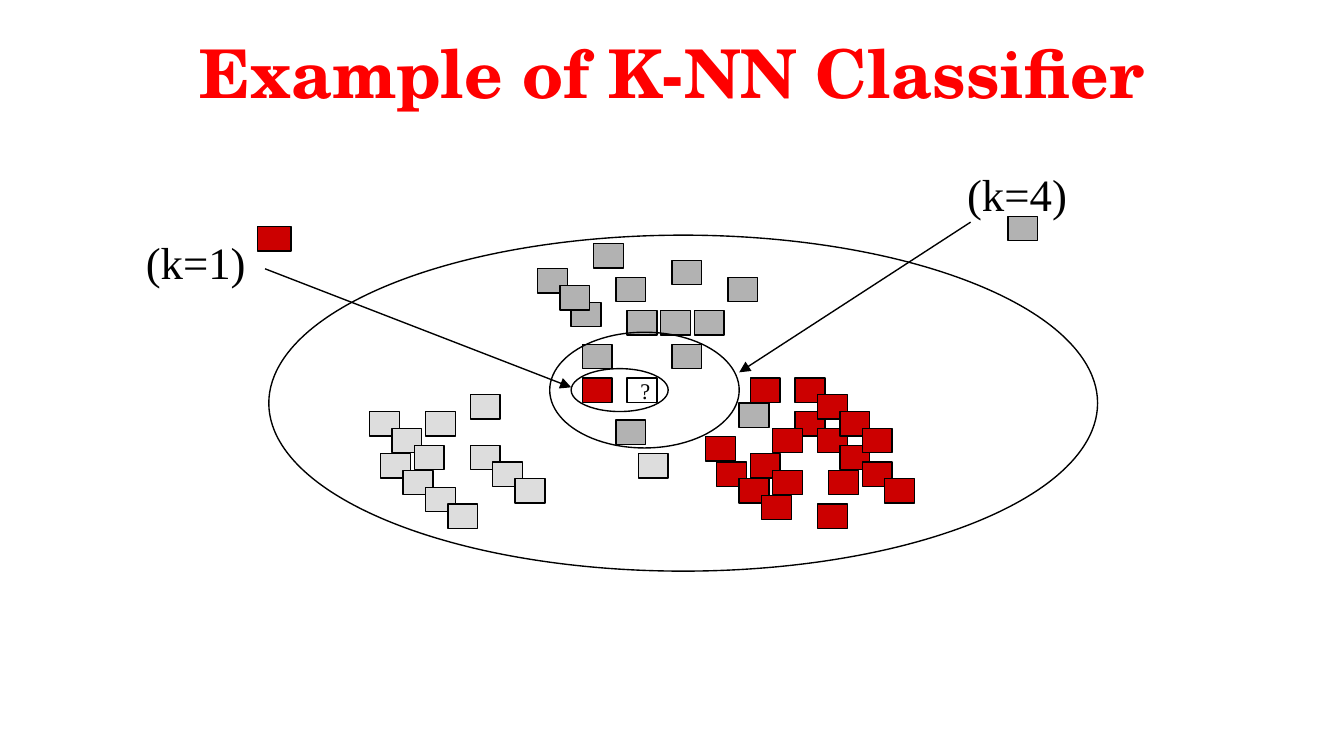
from pptx import Presentation
from pptx.dml.color import RGBColor
from pptx.enum.shapes import MSO_CONNECTOR as Connector, MSO_SHAPE as Shape
from pptx.enum.text import MSO_ANCHOR as Anchor, PP_ALIGN as Align
from pptx.oxml.ns import qn
from pptx.util import Pt
from lxml.etree import SubElement

COLORS = {
    "title": "FF0000",
    "ink": "000000",
    "light": "DDDDDD",
    "gray": "B2B2B2",
    "red": "CC0000",
}
TITLE_FORMAT = {"name": "TeX Gyre Schola", "size": Pt(36), "bold": True}
LABEL_FORMAT = {"name": "Times New Roman", "size": Pt(24)}
QUERY_FORMAT = {"name": "Times New Roman", "size": Pt(12)}

COLUMN, ROW = 6, 4.5
SAMPLE_SIZE = (16, 13)
QUERY_CELL = (32, 17)
SAMPLES = {
    "light": [(9, 21), (10, 26), (18, 25), (14, 21), (11, 23), (12, 28), (20, 27),
              (18, 19), (13, 25), (14, 30), (22, 29), (33, 26), (16, 32)],
    "gray": [(38, 9), (24, 4), (29, 1), (27, 8), (26, 6), (36, 3), (28, 13),
             (41, 5), (35, 9), (31, 5), (32, 9), (31, 22), (36, 13), (42, 20)],
    "red": [(43, 17), (39, 24), (47, 21), (47, 17), (40, 27), (28, 17), (45, 23),
            (49, 23), (49, 19), (42, 29), (51, 25), (43, 26), (50, 28), (51, 21),
            (44, 31), (45, 28), (53, 27), (53, 23), (49, 32), (55, 29)],
}


def rgb(color):
    return RGBColor.from_string(COLORS[color])


def write_text(shape, text, font_format, color="ink", align=Align.LEFT,
               anchor=Anchor.TOP, wrap=False):
    frame = shape.text_frame
    frame.word_wrap = wrap
    frame.vertical_anchor = anchor
    paragraph = frame.paragraphs[0]
    paragraph.text = text
    paragraph.alignment = align
    for name, value in font_format.items():
        setattr(paragraph.font, name, value)
    paragraph.font.color.rgb = rgb(color)


def add_outlined(slide, kind, box, fill=None):
    shape = slide.shapes.add_shape(kind, *map(Pt, box))
    shape.shadow.inherit = False
    if fill:
        shape.fill.solid()
        shape.fill.fore_color.rgb = rgb(fill)
    else:
        shape.fill.background()
    shape.line.color.rgb = rgb("ink")
    shape.line.width = Pt(0.75)
    return shape


def add_arrow(slide, start, end):
    arrow = slide.shapes.add_connector(Connector.STRAIGHT, *map(Pt, (*start, *end)))
    arrow.line.color.rgb = rgb("ink")
    arrow.line.width = Pt(0.75)
    SubElement(arrow.line._get_or_add_ln(), qn("a:tailEnd"), type="triangle")
    SubElement(arrow._element.spPr, qn("a:effectLst"))


def add_title(slide, box):
    title = slide.shapes.add_textbox(*map(Pt, box))
    write_text(title, "Example of K-NN Classifier", TITLE_FORMAT, "title",
               Align.CENTER, wrap=True)


def add_sample_space(slide, box):
    left, top = box[:2]

    def cell_box(cell):
        column, row = cell
        return (left + column * COLUMN, top + row * ROW, *SAMPLE_SIZE)

    query = add_outlined(slide, Shape.RECTANGLE, cell_box(QUERY_CELL))
    write_text(query, "?", QUERY_FORMAT, anchor=Anchor.MIDDLE)
    add_outlined(slide, Shape.OVAL, box)
    for color, cells in SAMPLES.items():
        for cell in cells:
            add_outlined(slide, Shape.RECTANGLE, cell_box(cell), color)


def add_callout(slide, box, text, marker, color, arrow_start, arrow_end, neighborhood):
    left, top = box[:2]
    x, y, width, height = marker
    add_outlined(slide, Shape.RECTANGLE, (left + x, top + y, width, height), color)
    add_outlined(slide, Shape.OVAL, neighborhood)
    label = slide.shapes.add_textbox(*map(Pt, box))
    write_text(label, text, LABEL_FORMAT)
    x, y = arrow_start
    add_arrow(slide, (left + x, top + y), arrow_end)


def main():
    presentation = Presentation()
    presentation.slide_width, presentation.slide_height = Pt(720), Pt(405)
    slide = presentation.slides.add_slide(presentation.slide_layouts[6])
    add_title(slide, (54, 13.5, 612, 67.5))
    add_sample_space(slide, (144, 126, 444, 180))
    add_callout(slide, (71, 122, 68, 35), "(k=1)", (67, -0.5, 18, 13), "red",
                (71, 22), (306, 207.5), (306, 197.5, 52, 23))
    add_callout(slide, (511, 86, 68, 35), "(k=4)", (29, 30, 16, 13), "gray",
                (9, 33), (396, 199.5), (294.5, 178, 101.5, 62))
    presentation.save("out.pptx")


if __name__ == "__main__":
    main()
